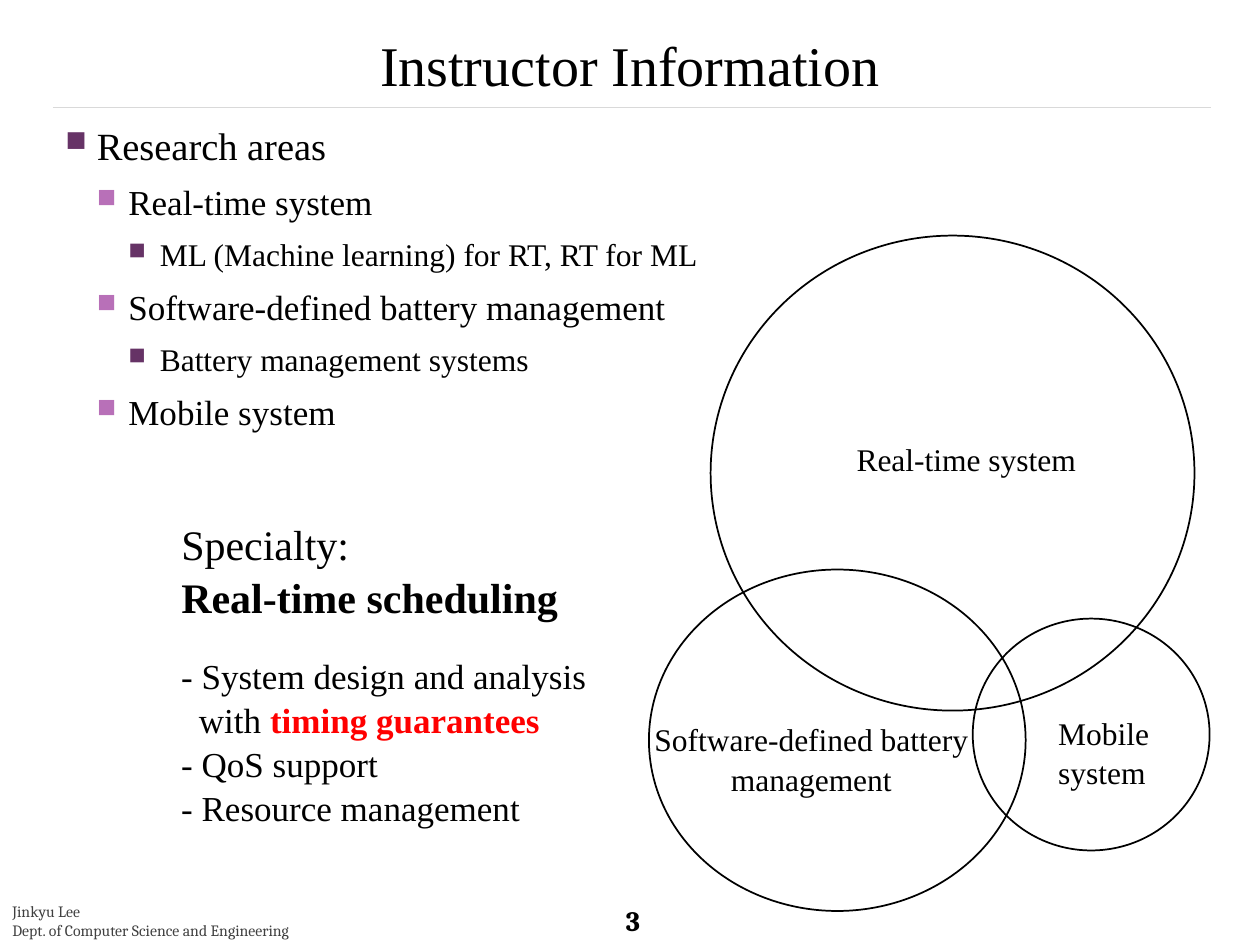
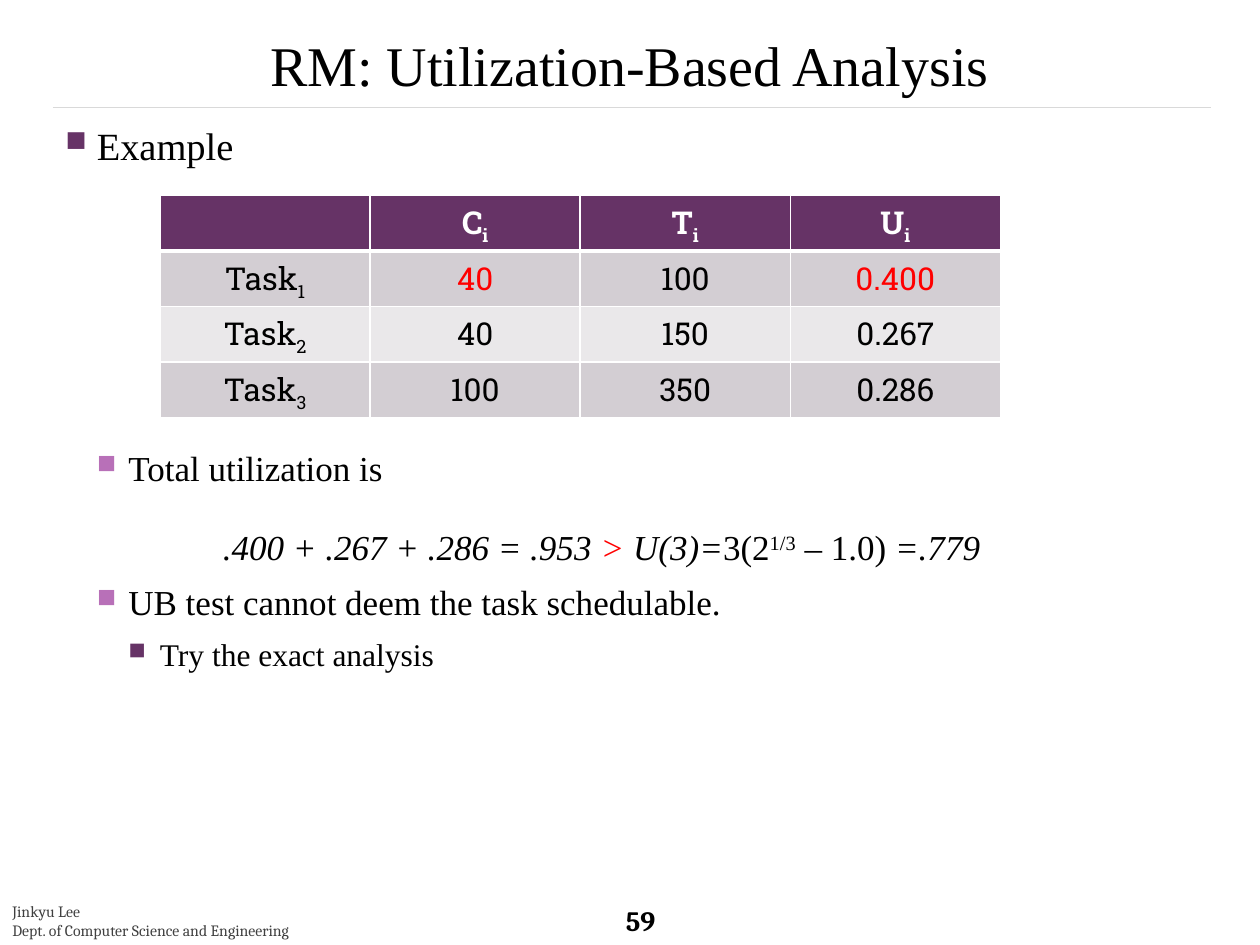
from lxml.etree import SubElement
from pptx import Presentation
from pptx.dml.color import RGBColor
from pptx.enum.shapes import MSO_CONNECTOR, MSO_SHAPE
from pptx.enum.text import MSO_ANCHOR, PP_ALIGN
from pptx.oxml import parse_xml
from pptx.oxml.ns import nsdecls, qn
from pptx.util import Inches, Pt

BLACK = RGBColor(0x00, 0x00, 0x00)
WHITE = RGBColor(0xFF, 0xFF, 0xFF)
RED = RGBColor(0xFF, 0x00, 0x00)
GREY = RGBColor(0x40, 0x40, 0x40)
RULE = RGBColor(0xD9, 0xD9, 0xD9)
PLUM = RGBColor(0x66, 0x33, 0x66)
ORCHID = RGBColor(0xB8, 0x70, 0xB8)
DARK_BAND = RGBColor(0xD3, 0xCE, 0xD3)
LIGHT_BAND = RGBColor(0xEA, 0xE8, 0xEA)

SERIF = "Times New Roman"
FOOT = "Cambria"
SLAB = "Roboto Slab"
LEAD = 1.05

# Outline level: text size, space before, bullet colour
LEVELS = [(22, 20, PLUM), (20, 6, ORCHID), (18, 6, PLUM)]


def style(run, size, face=SERIF, color=BLACK, bold=False, italic=False, base=0):
    """Format a run; base is the shift of a sub- or superscript in percent."""
    font = run.font
    font.size, font.name = Pt(size), face
    font.color.rgb = color
    font.bold, font.italic = bold, italic
    if base:
        run._r.get_or_add_rPr().set("baseline", str(base * 1000))


def fill_line(para, parts, size, **look):
    """Write a plain string, or a list of (text, extra look) parts."""
    if isinstance(parts, str):
        parts = [(parts, {})]
    for text, extra in parts:
        run = para.add_run()
        run.text = text
        style(run, size, **{**look, **extra})


def add_text(slide, box, lines, size, align=PP_ALIGN.LEFT, wrap=True,
             lead=LEAD, **look):
    """Add a text box with one paragraph per line and return its frame."""
    frame = slide.shapes.add_textbox(*map(Inches, box)).text_frame
    frame.word_wrap = wrap
    for i, parts in enumerate(lines):
        para = frame.add_paragraph() if i else frame.paragraphs[0]
        para.alignment = align
        para.line_spacing = lead
        fill_line(para, parts, size, **look)
    return frame


def set_indent(para, left, first=0):
    props = para._p.get_or_add_pPr()
    props.set("marL", str(Inches(left)))
    props.set("indent", str(Inches(first)))
    return props


def add_bullet(para, level, color):
    props = set_indent(para, 0.25 * (level + 1), -0.25)
    tint = SubElement(props, qn("a:buClr"))
    SubElement(tint, qn("a:srgbClr")).set("val", str(color))
    SubElement(props, qn("a:buSzPct")).set("val", "75000")
    SubElement(props, qn("a:buChar")).set("char", "■")


def add_outline(slide, top, items):
    """Add body text; a level of None marks an indented formula."""
    box = slide.shapes.add_textbox(
        Inches(0.42), Inches(top), Inches(9.19), Inches(7.34 - top))
    frame = box.text_frame
    frame.word_wrap = True
    for i, (level, parts) in enumerate(items):
        para = frame.add_paragraph() if i else frame.paragraphs[0]
        para.line_spacing = LEAD
        if level is None:
            size, gap = 20, 20
            set_indent(para, 1.25)
        else:
            size, gap, color = LEVELS[level]
            add_bullet(para, level, color)
        if i:
            para.space_before = Pt(gap)
        fill_line(para, parts, size)


def add_rule(slide):
    rule = slide.shapes.add_connector(
        MSO_CONNECTOR.STRAIGHT,
        Inches(0.42), Inches(0.85), Inches(9.61), Inches(0.85))
    rule.line.color.rgb = RULE
    rule.line.width = Pt(0.1)
    SubElement(rule._element.spPr, qn("a:effectLst"))


def add_page(deck, title, number):
    """Add a slide with its rule, title, page number and footer."""
    slide = deck.slides.add_slide(deck.slide_layouts[6])
    add_rule(slide)
    page = add_text(slide, (4.87, 7.15, 0.66, 0.31), [number], 16,
                    lead=1, face=FOOT, bold=True)
    page.vertical_anchor = MSO_ANCHOR.MIDDLE
    add_text(slide, (0, 7.11, 2.76, 0.4),
             ["Jinkyu Lee", "Dept. of Computer Science and Engineering"], 9,
             lead=1, face=FOOT, color=GREY)
    add_text(slide, (0, 0.17, 10, 0.6), [title], 32, PP_ALIGN.CENTER)
    return slide


def add_ring(slide, box):
    ring = slide.shapes.add_shape(MSO_SHAPE.OVAL, *map(Inches, box))
    ring.shadow.inherit = False
    ring.fill.background()
    ring.line.color.rgb = BLACK
    ring.line.width = Pt(1)


def set_edges(cell, top, bottom):
    """Draw white cell borders; top and bottom are widths in points."""
    props = cell._tc.get_or_add_tcPr()
    widths = {"lnL": 1, "lnR": 1, "lnT": top, "lnB": bottom}
    for i, (tag, width) in enumerate(widths.items()):
        props.insert(i, parse_xml(
            f'<a:{tag} {nsdecls("a")} w="{Pt(width)}"><a:solidFill>'
            f'<a:srgbClr val="{WHITE}"/></a:solidFill></a:{tag}>'))


def add_grid(slide, box, rows):
    grid = slide.shapes.add_table(
        len(rows), len(rows[0]), *map(Inches, box)).table
    for r, row in enumerate(rows):
        head = r == 0
        band = PLUM if head else DARK_BAND if r % 2 else LIGHT_BAND
        for c, parts in enumerate(row):
            cell = grid.cell(r, c)
            cell.fill.solid()
            cell.fill.fore_color.rgb = band
            set_edges(cell, 3 if r == 1 else 1, 3 if head else 1)
            para = cell.text_frame.paragraphs[0]
            para.alignment = PP_ALIGN.CENTER
            if parts:
                fill_line(para, parts, 18, face=SLAB, bold=head,
                          color=WHITE if head else BLACK)


def with_sub(text, sub):
    return [(text, {}), (sub, {"base": -25})]


def add_areas(deck):
    slide = add_page(deck, "Instructor Information", "3")
    add_outline(slide, 0.9, [
        (0, "Research areas"),
        (1, "Real-time system"),
        (2, "ML (Machine learning) for RT, RT for ML"),
        (1, "Software-defined battery management"),
        (2, "Battery management systems"),
        (1, "Mobile system"),
    ])
    for box in [(5.64, 1.87, 3.84, 3.77), (5.15, 4.52, 2.99, 2.71),
                (7.72, 4.91, 1.88, 1.84)]:
        add_ring(slide, box)
    for box, lines, align in [
        ((6.7, 3.43, 1.96, 0.4), ["Real-time system"], PP_ALIGN.LEFT),
        ((5.08, 5.65, 2.72, 0.71),
         ["Software-defined battery", "management"], PP_ALIGN.CENTER),
        ((8.3, 5.6, 0.99, 0.71), ["Mobile", "system"], PP_ALIGN.LEFT),
    ]:
        add_text(slide, box, lines, 18, align, wrap=False)
    add_text(slide, (1.34, 4.05, 3.22, 0.91),
             ["Specialty:", [("Real-time scheduling", {"bold": True})]],
             24, wrap=False)
    skills = add_text(slide, (1.34, 5.13, 3.44, 1.45), [
        "- System design and analysis",
        [("with ", {}), ("timing guarantees", {"color": RED, "bold": True})],
        "- QoS support",
        "- Resource management",
    ], 20, wrap=False)
    set_indent(skills.paragraphs[1], 0.14)


def add_example(deck):
    slide = add_page(deck, "RM: Utilization-Based Analysis", "59")
    add_outline(slide, 0.9, [(0, "Example")])
    slant, red = {"italic": True}, {"color": RED}
    add_grid(slide, (1.27, 1.55, 6.67, 1.62), [
        [""] + [with_sub(name, "i") for name in "CTU"],
        [with_sub("Task", "1"), [("40", red)], "100", [("0.400", red)]],
        [with_sub("Task", "2"), "40", "150", "0.267"],
        [with_sub("Task", "3"), "100", "350", "0.286"],
    ])
    add_outline(slide, 3.48, [
        (1, "Total utilization is"),
        (None, [
            (".400 + .267 + .286 = .953 ", slant),
            (">", {**slant, **red}),
            (" U(3)=", slant),
            ("3(2", {}),
            ("1/3", {"base": 30}),
            (" – 1.0)", {}),
            (" =.779", slant),
        ]),
        (1, "UB test cannot deem the task schedulable."),
        (2, "Try the exact analysis"),
    ])


def main():
    deck = Presentation()
    deck.slide_width, deck.slide_height = Inches(10), Inches(7.5)
    add_areas(deck)
    add_example(deck)
    deck.save("out.pptx")


if __name__ == "__main__":
    main()
